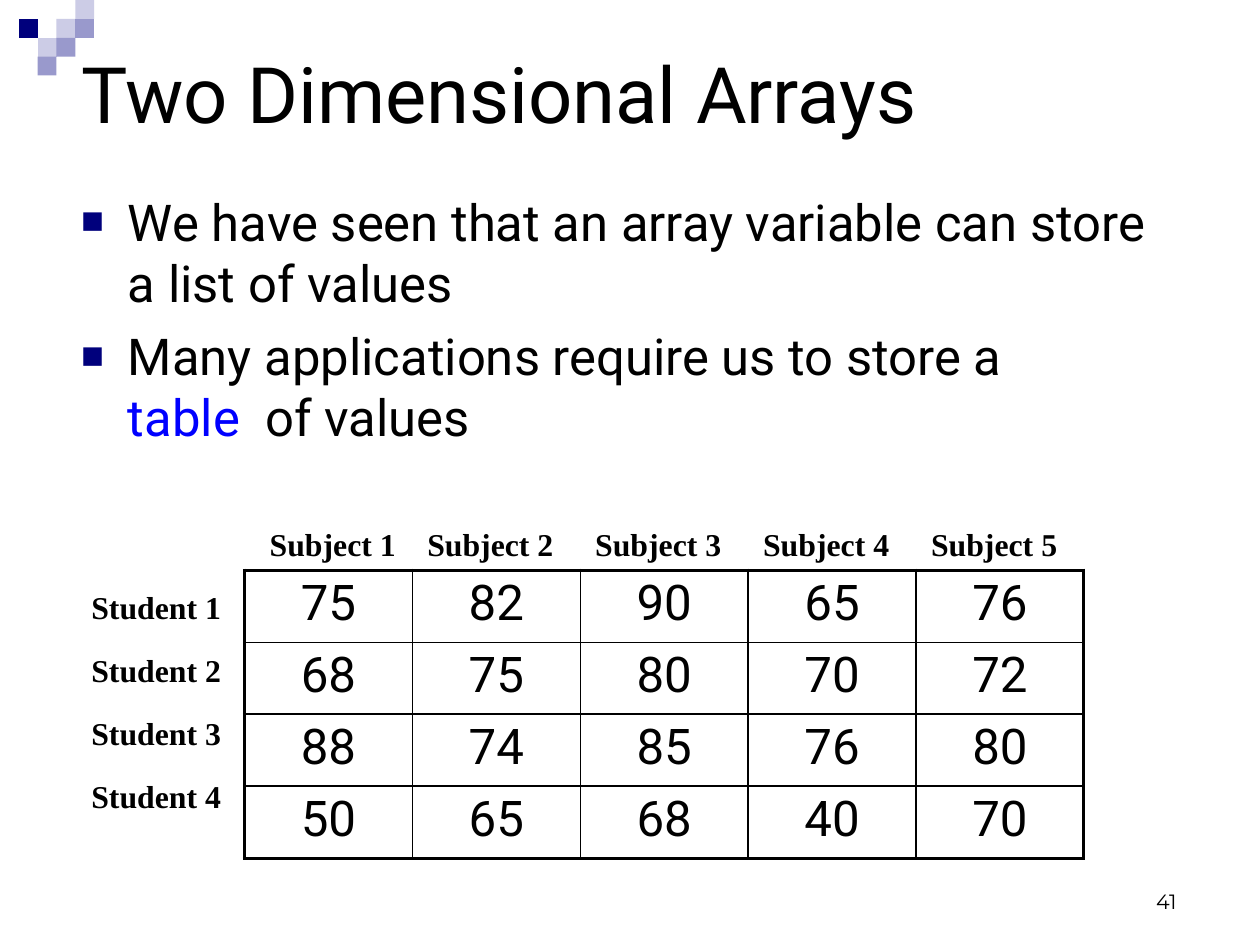
from lxml.etree import SubElement
from pptx import Presentation
from pptx.dml.color import RGBColor
from pptx.enum.text import MSO_ANCHOR, MSO_AUTO_SIZE, PP_ALIGN
from pptx.oxml.ns import qn
from pptx.util import Inches, Pt

BLACK = RGBColor(0x00, 0x00, 0x00)
BLUE = RGBColor(0x00, 0x00, 0xFF)
NAVY = RGBColor(0x00, 0x00, 0x7C)
LAVENDER = RGBColor(0x99, 0x99, 0xCC)
PALE = RGBColor(0xCC, 0xCC, 0xE6)

# Corner mosaic: column and row of each square, grouped by piece
SQUARE = 0.165
MOSAIC = [([(3, 1), (4, 0)], PALE),
          ([(4, 1)], LAVENDER),
          ([(2, 2)], PALE),
          ([(1, 1)], NAVY),
          ([(3, 2), (2, 3)], LAVENDER)]

MARKS = [[75, 82, 90, 65, 76],
         [68, 75, 80, 70, 72],
         [88, 74, 85, 76, 80],
         [50, 65, 68, 40, 70]]
COLUMN_WIDTH, ROW_HEIGHT = 1.47, 0.63


class SlideBuilder:
    body_font = "Roboto"
    label_font = "Times New Roman"
    number_font = "Montserrat"

    def __init__(self, presentation):
        self.slide = presentation.slides.add_slide(presentation.slide_layouts[5])

    def style(self, paragraph, font_name, size, color=BLACK, bold=False):
        for run in paragraph.runs:
            run.font.name = font_name
            run.font.size = Pt(size)
            run.font.color.rgb = color
            run.font.bold = bold

    def frame(self, holder, inset_left=0.0):
        frame = holder.text_frame
        frame.margin_left, frame.margin_top = Inches(inset_left), Inches(0.01)
        frame.margin_right = frame.margin_bottom = 0
        frame.vertical_anchor = MSO_ANCHOR.TOP
        frame.auto_size = MSO_AUTO_SIZE.NONE
        frame.word_wrap = True
        return frame

    def mosaic_piece(self, squares, color):
        builder = self.slide.shapes.build_freeform(
            *squares[0], scale=Inches(SQUARE))
        for index, (column, row) in enumerate(squares):
            if index:
                builder.move_to(column, row)
            builder.add_line_segments([(column + 1, row), (column + 1, row + 1),
                                       (column, row + 1)], close=True)
        piece = builder.convert_to_shape()
        piece.shadow.inherit = False
        piece.fill.solid()
        piece.fill.fore_color.rgb = color
        piece.line.fill.background()

    def title(self, text, left, top, width, height):
        heading = self.slide.shapes.title
        heading.left, heading.top = Inches(left), Inches(top)
        heading.width, heading.height = Inches(width), Inches(height)
        frame = self.frame(heading, 0.02)
        frame.text = text
        frame.paragraphs[0].alignment = PP_ALIGN.LEFT
        self.style(frame.paragraphs[0], self.body_font, 49)

    def label(self, lines, left, top, width, height, font_name, size,
              bold=False, gap=0, inset=0.02):
        box = self.slide.shapes.add_textbox(
            Inches(left), Inches(top), Inches(width), Inches(height))
        frame = self.frame(box, inset)
        frame.text = "\n".join(lines)
        for index, paragraph in enumerate(frame.paragraphs):
            if index:
                paragraph.space_before = Pt(gap)
            self.style(paragraph, font_name, size, bold=bold)

    def bullets(self, items, left, top, width, height):
        box = self.slide.shapes.add_textbox(
            Inches(left), Inches(top), Inches(width), Inches(height))
        frame = self.frame(box)
        for index, (parts, right_margin) in enumerate(items):
            paragraph = frame.add_paragraph() if index else frame.paragraphs[0]
            if index:
                paragraph.space_before = Pt(7.7)
            self.bullet_mark(paragraph, right_margin)
            for text, color in parts:
                run = paragraph.add_run()
                run.text = text
                run.font.name = self.body_font
                run.font.size = Pt(32)
                run.font.color.rgb = color

    def bullet_mark(self, paragraph, right_margin):
        properties = paragraph._p.get_or_add_pPr()
        properties.set("marL", str(Inches(0.43)))
        properties.set("marR", str(Inches(right_margin)))
        properties.set("indent", str(Inches(-0.41)))
        color = SubElement(properties, qn("a:buClr"))
        SubElement(color, qn("a:srgbClr"), val=str(NAVY))
        SubElement(properties, qn("a:buSzPct"), val="75000")
        SubElement(properties, qn("a:buFont"), typeface=self.label_font)
        SubElement(properties, qn("a:buChar"), char="■")

    def border(self, cell, side, width):
        line = SubElement(cell._tc.get_or_add_tcPr(), qn(f"a:ln{side}"),
                          w=str(Pt(width)))
        fill = SubElement(line, qn("a:solidFill"))
        SubElement(fill, qn("a:srgbClr"), val=str(BLACK))

    def marks_table(self, marks, left, top):
        rows, columns = len(marks), len(marks[0])
        table = self.slide.shapes.add_table(
            rows, columns, Inches(left), Inches(top),
            Inches(columns * COLUMN_WIDTH), Inches(rows * ROW_HEIGHT)).table
        table.first_row = table.horz_banding = False
        for column in table.columns:
            column.width = Inches(COLUMN_WIDTH)
        for r, student_marks in enumerate(marks):
            table.rows[r].height = Inches(ROW_HEIGHT)
            for c, mark in enumerate(student_marks):
                cell = table.cell(r, c)
                cell.margin_left = cell.margin_right = cell.margin_bottom = 0
                cell.margin_top = Inches(0.04)
                cell.text_frame.text = str(mark)
                paragraph = cell.text_frame.paragraphs[0]
                paragraph.alignment = PP_ALIGN.CENTER
                self.style(paragraph, self.body_font, 31)
                # Heavy outer frame, thin inner grid
                outer = {"L": c == 0, "R": c == columns - 1,
                         "T": r == 0, "B": r == rows - 1}
                for side, is_outer in outer.items():
                    self.border(cell, side, 2.25 if is_outer else 1)
                cell.fill.background()


def main():
    presentation = Presentation()
    presentation.slide_width = Inches(11.03)
    presentation.slide_height = Inches(8.27)
    page = SlideBuilder(presentation)

    # Corner mosaic
    for squares, color in MOSAIC:
        page.mosaic_piece(squares, color)

    # Title and page number
    page.title("Two Dimensional Arrays", 0.69, 0.39, 7.5, 0.84)
    page.label(["41"], 10.08, 7.77, 0.32, 0.28, page.number_font, 13,
               inset=0.04)

    # Bullet points
    page.bullets([
        ([("We have seen that an array variable can store a list of values",
           BLACK)], 0),
        ([("Many applications require us to store a ", BLACK),
          ("table ", BLUE), (" of values", BLACK)], 0.6),
    ], 0.69, 1.66, 9.52, 2.27)

    # Marks table with student and subject labels
    page.marks_table(MARKS, 2.14, 4.99)
    students = [f"Student {n}" for n in range(1, len(MARKS) + 1)]
    page.label(students, 0.78, 5.13, 1.16, 2.02, page.label_font, 20,
               bold=True, gap=15.8)
    for index in range(len(MARKS[0])):
        subject_left = 2.25 + index * COLUMN_WIDTH if index else 2.34
        page.label([f"Subject {index + 1}"], subject_left, 4.58, 1.15, 0.36,
                   page.label_font, 20, bold=True)

    presentation.save("out.pptx")


if __name__ == "__main__":
    main()
